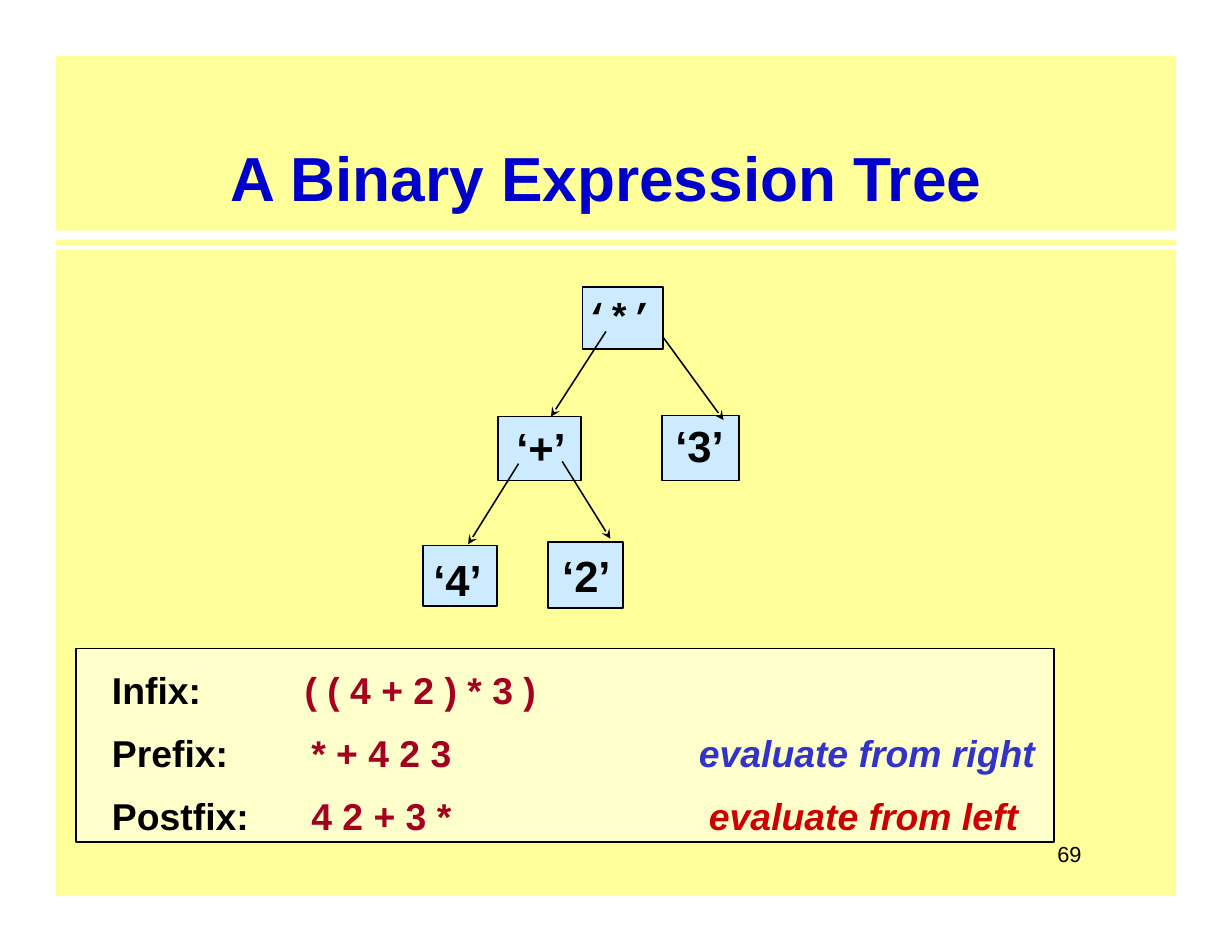
from dataclasses import dataclass

from lxml.etree import SubElement
from pptx import Presentation
from pptx.dml.color import RGBColor
from pptx.enum.shapes import MSO_CONNECTOR, MSO_SHAPE
from pptx.enum.text import MSO_ANCHOR, PP_ALIGN
from pptx.oxml.ns import qn
from pptx.util import Inches, Pt


@dataclass(frozen=True)
class Theme:
    page: str = "FFFF99"
    white: str = "FFFFFF"
    panel: str = "FFFFCC"
    node: str = "CCEBFF"
    ink: str = "000000"
    title: str = "0000CC"
    formula: str = "A40020"
    right: str = "3333CC"
    left: str = "CC0000"
    sans: str = "Arial"
    mono: str = "Courier New"
    big: int = 40
    label: int = 28
    body: int = 24
    small: int = 14
    border: float = 1.1
    edge: float = 1


THEME = Theme()


def paint(slide, box, fill, line=None):
    """Add a flat rectangle, with a border if a line colour is given."""
    rect = slide.shapes.add_shape(MSO_SHAPE.RECTANGLE, *map(Inches, box))
    rect.shadow.inherit = False
    rect.fill.solid()
    rect.fill.fore_color.rgb = RGBColor.from_string(fill)
    if line:
        rect.line.color.rgb = RGBColor.from_string(line)
        rect.line.width = Pt(THEME.border)
    else:
        rect.line.fill.background()
    return rect


def set_frame(frame, left=0, top=0, wrap=True):
    frame.margin_left, frame.margin_top = Inches(left), Inches(top)
    frame.margin_right = frame.margin_bottom = 0
    frame.vertical_anchor = MSO_ANCHOR.TOP
    frame.word_wrap = wrap


def add_run(para, text, size, color, face=THEME.sans, bold=True, slant=False):
    para.alignment = PP_ALIGN.LEFT
    run = para.add_run()
    run.text = text
    font = run.font
    font.name, font.size, font.bold, font.italic = face, Pt(size), bold, slant
    font.color.rgb = RGBColor.from_string(color)


def add_text(slide, box, top=0):
    frame = slide.shapes.add_textbox(*map(Inches, box)).text_frame
    set_frame(frame, top=top)
    return frame


def indent(para, inches):
    para._p.get_or_add_pPr().set("marL", str(Inches(inches)))


def draw_page(slide, box):
    """Yellow page with a double white rule."""
    x, y, w, h = box
    paint(slide, box, THEME.page)
    for drop, thick in ((1.56, 0.08), (1.69, 0.04)):
        paint(slide, (x, y + drop, w, thick), THEME.white)


def draw_title(slide, box):
    para = add_text(slide, box, 0.01).paragraphs[0]
    indent(para, 0.01)
    add_run(para, "A Binary Expression Tree", THEME.big, THEME.title)


def draw_edge(slide, start, end):
    edge = slide.shapes.add_connector(
        MSO_CONNECTOR.STRAIGHT, *map(Inches, (*start, *end)))
    edge.line.color.rgb = RGBColor.from_string(THEME.ink)
    edge.line.width = Pt(THEME.edge)
    SubElement(edge.line._get_or_add_ln(), qn("a:tailEnd"),
               type="stealth", w="med", len="med")
    SubElement(edge._element.spPr, qn("a:effectLst"))


def draw_tree(slide, box):
    """Nodes and edges, measured from the corner of the box."""
    x, y = box[:2]
    # Text, node box, text inset (left, top)
    nodes = (
        ("‘*’", (1.42, 0, 0.72, 0.56), (0.03, 0.06)),
        ("‘+’", (0.67, 1.16, 0.74, 0.57), (0.16, 0.04)),
        ("‘3’", (2.13, 1.15, 0.69, 0.58), (0.12, 0.03)),
        ("‘4’", (0, 2.31, 0.66, 0.54), (0.09, 0.07)),
        ("‘2’", (1.11, 2.28, 0.67, 0.59), (0.13, 0.06)),
    )
    for text, (left, top, w, h), inset in nodes:
        node = paint(slide, (x + left, y + top, w, h), THEME.node, THEME.ink)
        set_frame(node.text_frame, *inset, wrap=False)
        root = text == "‘*’"
        add_run(node.text_frame.paragraphs[0], text,
                THEME.body if root else THEME.label, THEME.ink,
                THEME.mono if root else THEME.sans)
    edges = (
        ((1.63, 0.4), (1.14, 1.16)),
        ((2.14, 0.45), (2.68, 1.19)),
        ((0.85, 1.58), (0.4, 2.3)),
        ((1.24, 1.56), (1.67, 2.25)),
    )
    for start, end in edges:
        draw_edge(slide, *((x + dx, y + dy) for dx, dy in (start, end)))


def draw_panel(slide, box):
    """The three notations in columns, with hints for two of them."""
    x, y, w, h = box
    paint(slide, box, THEME.panel, THEME.ink)
    pitch, inset = 0.56, 0.17
    # Left, width, first row, slant, lines of (text, colour, indent)
    cols = (
        (0.32, 1.5, 0, False, (("Infix:", THEME.ink, 0),
                               ("Prefix:", THEME.ink, 0),
                               ("Postfix:", THEME.ink, 0))),
        (2.04, 3.18, 0, False, (("( ( 4 + 2 ) * 3 )", THEME.formula, 0),
                                ("* + 4 2 3", THEME.formula, 0.06),
                                ("4 2 + 3 *", THEME.formula, 0.06))),
        (5.56, 3.15, 1, True, (("evaluate from right", THEME.right, 0),
                               ("evaluate from left", THEME.left, 0.09))),
    )
    for left, wide, row, slant, lines in cols:
        drop = row * pitch
        frame = add_text(slide, (x + left, y + drop, wide, h - drop), inset)
        for i, (text, color, shift) in enumerate(lines):
            para = frame.add_paragraph() if i else frame.paragraphs[0]
            para.space_before = Pt(11.6 if i else 0)
            indent(para, shift)
            add_run(para, text, THEME.body, color, slant=slant)


def draw_number(slide, box):
    para = add_text(slide, box).paragraphs[0]
    para.line_spacing = 1.17
    indent(para, 0.04)
    add_run(para, "69", THEME.small, THEME.ink, bold=False)


def main():
    deck = Presentation()
    deck.slide_width, deck.slide_height = Inches(11), Inches(8.5)
    slide = deck.slides.add_slide(deck.slide_layouts[6])
    draw_page(slide, (0.5, 0.5, 10, 7.5))
    draw_title(slide, (2.05, 1.23, 6.8, 0.7))
    draw_tree(slide, (3.78, 2.56, 2.82, 2.87))
    draw_panel(slide, (0.68, 5.79, 8.73, 1.73))
    draw_number(slide, (9.4, 7.47, 0.3, 0.24))
    deck.save("out.pptx")


if __name__ == "__main__":
    main()
